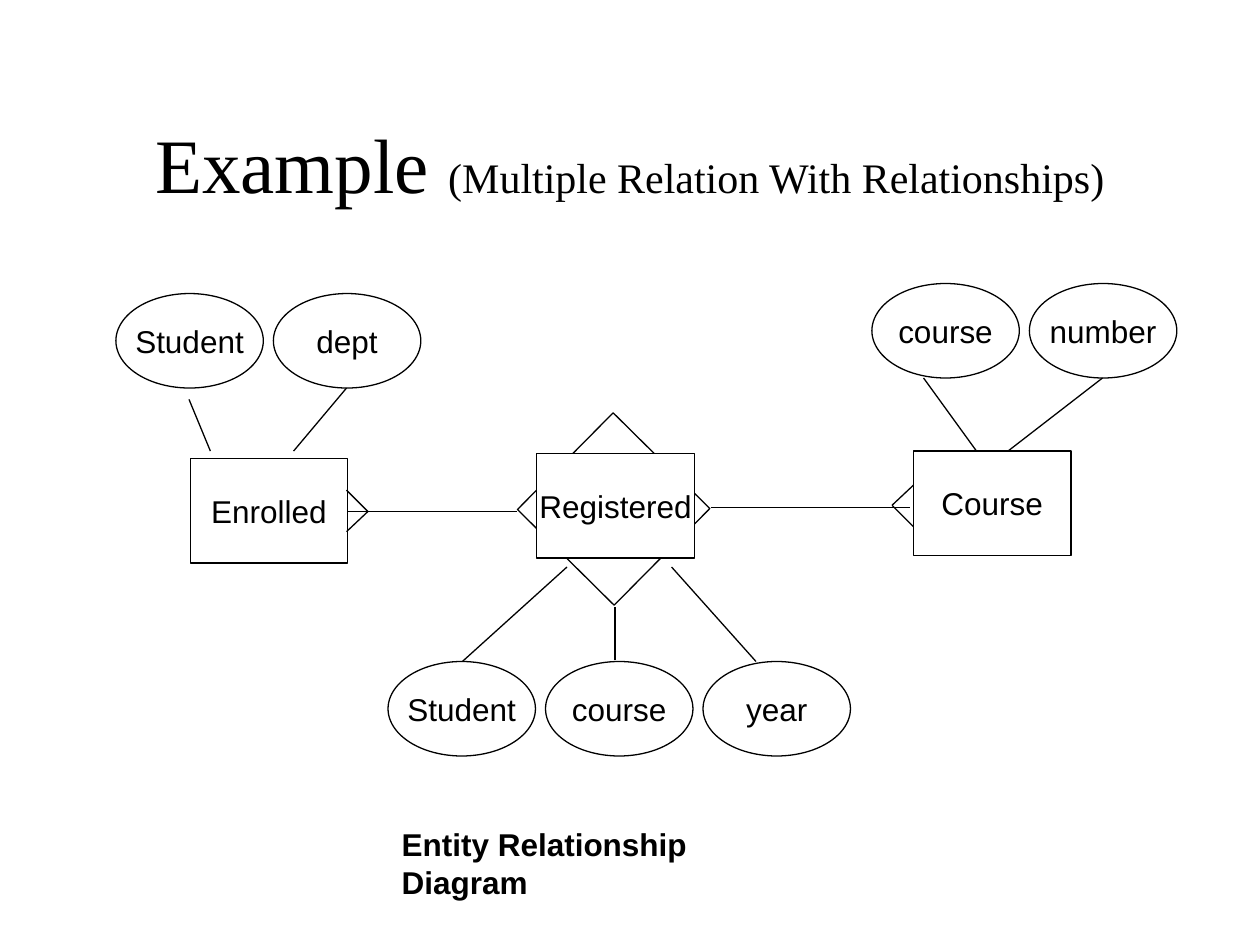
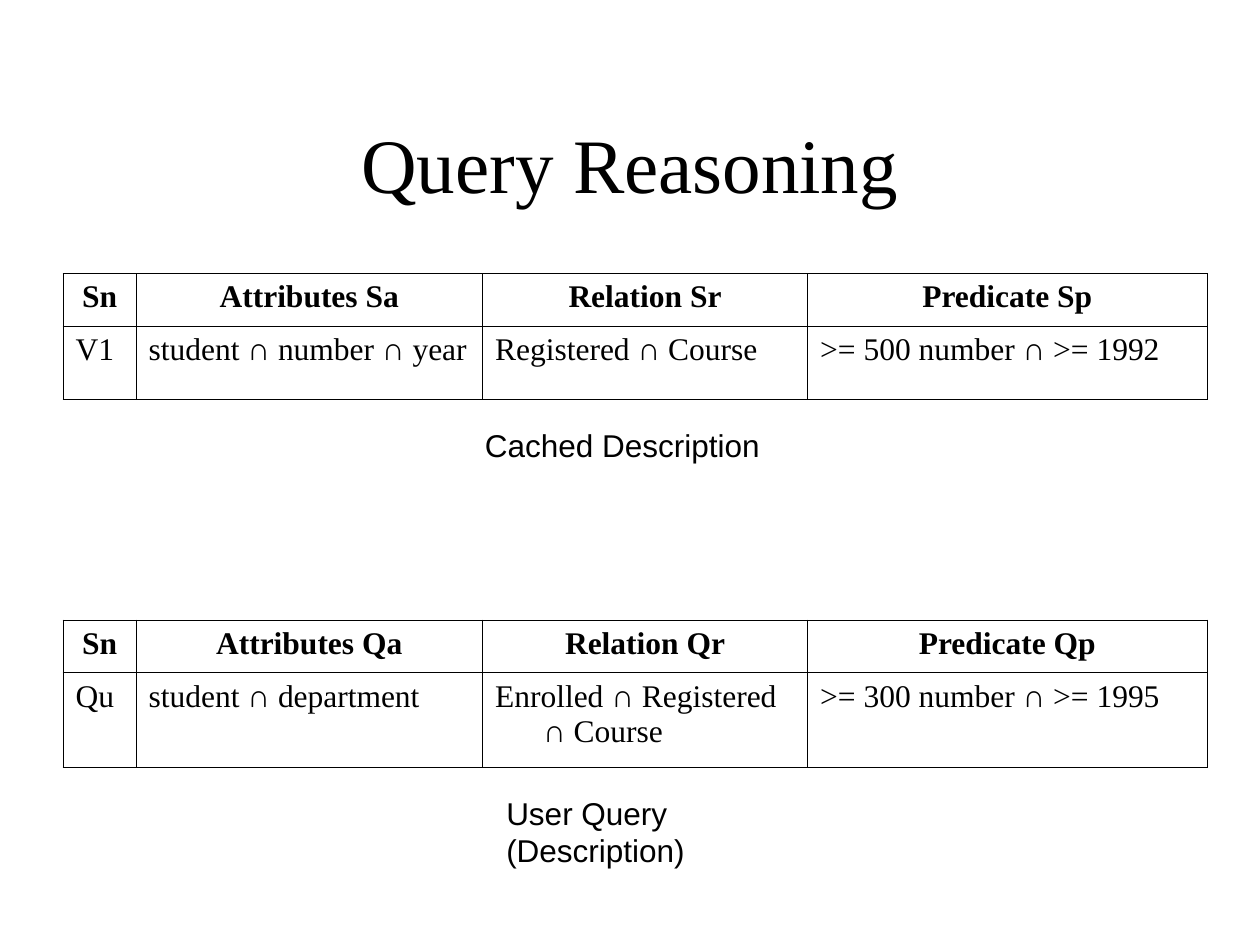
import pptx
import pptx.dml.color
import pptx.enum.shapes
import pptx.enum.text
import pptx.oxml
import pptx.oxml.ns
import pptx.util
from pptx.util import Inches

BLACK = pptx.dml.color.RGBColor(0x00, 0x00, 0x00)
WHITE = pptx.dml.color.RGBColor(0xFF, 0xFF, 0xFF)
SANS, SERIF = "Arial", "Times New Roman"
ALIGN = pptx.enum.text.PP_ALIGN
ANCHOR = pptx.enum.text.MSO_ANCHOR
SHAPE = pptx.enum.shapes.MSO_SHAPE

BOX_W, BOX_H = 1.25, 0.83
OVAL_W, OVAL_H = 1.17, 0.75
OVAL_STEP = 1.25
COLUMN_WIDTHS = (0.58, 2.75, 2.58, 3.17)
HEADER_H = 0.42


def add_run(p, text, size=18, font=SANS, bold=False, align=ALIGN.LEFT):
    p.alignment = align
    r = p.add_run()
    r.text = text
    r.font.size = pptx.util.Pt(size)
    r.font.name = font
    r.font.bold = bold
    r.font.color.rgb = BLACK


class Deck:
    """Holds the shared style and the slide being drawn."""

    line_width = pptx.util.Pt(0.75)
    border_width = pptx.util.Pt(0.45)
    hanging = Inches(0.38)

    def __init__(self):
        self.prs = pptx.Presentation()
        self.prs.slide_width = Inches(10)
        self.prs.slide_height = Inches(7.5)
        self.s = None

    def slide(self, title, subtitle=None):
        self.s = self.prs.slides.add_slide(self.prs.slide_layouts[5])
        self.s.background.fill.solid()
        self.s.background.fill.fore_color.rgb = WHITE
        sp = self.s.shapes.title
        sp.left, sp.top = Inches(0.75), Inches(0.67)
        sp.width, sp.height = Inches(8.5), Inches(1.25)
        tf = sp.text_frame
        tf.auto_size = pptx.enum.text.MSO_AUTO_SIZE.NONE
        tf.vertical_anchor = ANCHOR.MIDDLE
        p = tf.paragraphs[0]
        add_run(p, title, size=44, font=SERIF, align=ALIGN.CENTER)
        if subtitle:
            add_run(p, subtitle, size=24, font=SERIF, align=ALIGN.CENTER)

    def outline(self, kind, x, y, w, h, text=None, fill=None):
        """Draw a thin-lined shape, hollow unless a fill is given."""
        sp = self.s.shapes.add_shape(kind, Inches(x), Inches(y), Inches(w), Inches(h))
        sp.shadow.inherit = False
        if fill is None:
            sp.fill.background()
        else:
            sp.fill.solid()
            sp.fill.fore_color.rgb = fill
        sp.line.color.rgb = BLACK
        sp.line.width = self.line_width
        if text:
            tf = sp.text_frame
            tf.word_wrap = False
            tf.vertical_anchor = ANCHOR.MIDDLE
            add_run(tf.paragraphs[0], text, align=ALIGN.CENTER)
        return sp

    def entity(self, text, x, y, fill=None):
        self.outline(SHAPE.RECTANGLE, x, y, BOX_W, BOX_H, text, fill)

    def attributes(self, names, x, y):
        """Draw a row of evenly spaced ovals."""
        for i, name in enumerate(names):
            self.outline(SHAPE.OVAL, x + i * OVAL_STEP, y, OVAL_W, OVAL_H, name)

    def path_line(self, *points):
        """Join consecutive points with straight connectors."""
        for start, end in zip(points, points[1:]):
            c = self.s.shapes.add_connector(
                pptx.enum.shapes.MSO_CONNECTOR.STRAIGHT,
                *(Inches(v) for v in (*start, *end)))
            c.line.color.rgb = BLACK
            c.line.width = self.line_width
            pptx.oxml.ns.qn("a:effectLst")
            c._element.spPr.append(pptx.oxml.parse_xml(
                f'<a:effectLst {pptx.oxml.ns.nsdecls("a")}/>'))

    def caption(self, text, x, y, w, bold=False):
        sp = self.s.shapes.add_textbox(Inches(x), Inches(y), Inches(w), Inches(0.4))
        sp.text_frame.word_wrap = False
        add_run(sp.text_frame.paragraphs[0], text, bold=bold)

    def table(self, y, body_h, rows):
        heights = (HEADER_H, body_h)
        tbl = self.s.shapes.add_table(
            len(rows), len(COLUMN_WIDTHS), Inches(0.5), Inches(y),
            Inches(sum(COLUMN_WIDTHS)), Inches(sum(heights))).table
        tbl.first_row = tbl.horz_banding = False
        for column, width in zip(tbl.columns, COLUMN_WIDTHS):
            column.width = Inches(width)
        for i, (texts, height) in enumerate(zip(rows, heights)):
            tbl.rows[i].height = Inches(height)
            for j, text in enumerate(texts):
                self.fill_cell(tbl.cell(i, j), text, header=i == 0)

    def fill_cell(self, cell, text, header):
        cell.margin_left = cell.margin_right = Inches(0.1)
        cell.margin_top = cell.margin_bottom = Inches(0.05)
        p = cell.text_frame.paragraphs[0]
        add_run(p, text, font=SERIF, bold=header,
                align=ALIGN.CENTER if header else ALIGN.LEFT)
        pPr = p._p.get_or_add_pPr()
        pPr.set("marL", str(self.hanging))
        pPr.set("indent", str(-self.hanging))
        tcPr = cell._tc.get_or_add_tcPr()
        for side in ("lnL", "lnR", "lnT", "lnB"):
            tcPr.append(pptx.oxml.parse_xml(
                f'<a:{side} {pptx.oxml.ns.nsdecls("a")} w="{self.border_width}">'
                f'<a:solidFill><a:srgbClr val="{BLACK}"/></a:solidFill></a:{side}>'))
        cell.fill.background()


def er_diagram(deck):
    deck.slide("Example ", "(Multiple Relation With Relationships)")
    deck.entity("Enrolled", 1.51, 3.64)
    diamond = deck.outline(SHAPE.RECTANGLE, 4.33, 3.5, 1.08, 1.08)
    diamond.rotation = 44.7
    deck.entity("Course", 7.25, 3.58)
    deck.entity("Registered", 4.26, 3.6, fill=WHITE)

    deck.attributes(("Student", "dept"), 0.92, 2.33)
    deck.attributes(("Student", "course", "year"), 3.08, 5.25)
    deck.attributes(("course", "number"), 6.92, 2.25)

    relationships = [((2.76, 4.06), (4.1, 4.06)), ((5.64, 4.03), (7.22, 4.03))]
    attribute_links = [
        ((1.67, 3.58), (1.5, 3.17)), ((2.33, 3.58), (2.75, 3.08)),
        ((4.5, 4.5), (3.67, 5.25)), ((4.88, 4.82), (4.88, 5.24)),
        ((5.33, 4.5), (6, 5.25)),
        ((7.75, 3.58), (7.33, 3)), ((8, 3.58), (8.75, 3))]
    crow_feet = [((2.75, 3.89), (2.92, 4.06), (2.75, 4.22)),
                 ((7.25, 4.18), (7.08, 4.01), (7.25, 3.85))]
    for points in relationships + attribute_links + crow_feet:
        deck.path_line(*points)
    deck.caption("Entity Relationship Diagram", 3.09, 6.5, 3.53, bold=True)


def query_reasoning(deck):
    deck.slide("Query Reasoning")
    deck.table(2.17, 0.58, [
        ("Sn", "Attributes Sa", "Relation Sr", "Predicate Sp"),
        ("V1", "student ∩ number ∩ year", "Registered ∩ Course",
         ">= 500 number ∩ >= 1992")])
    deck.table(4.92, 0.75, [
        ("Sn", "Attributes Qa", "Relation Qr", "Predicate Qp"),
        ("Qu", "student ∩ department", "Enrolled ∩ Registered ∩ Course",
         ">= 300 number ∩ >= 1995")])
    deck.caption("Cached Description", 3.75, 3.33, 2.38)
    deck.caption("User Query (Description)", 3.92, 6.25, 2.96)


def main():
    deck = Deck()
    er_diagram(deck)
    query_reasoning(deck)
    deck.prs.save("out.pptx")


if __name__ == "__main__":
    main()
